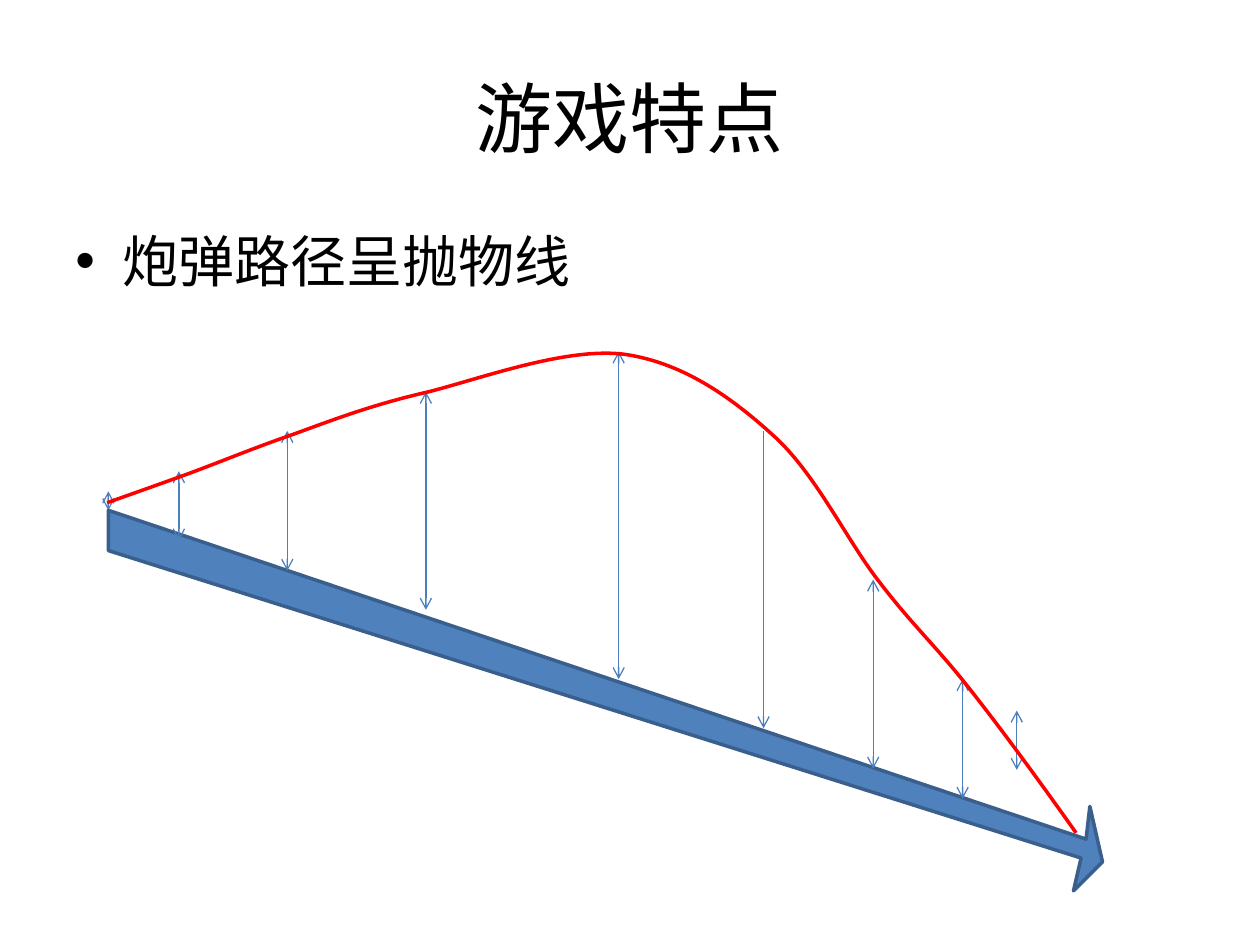
from dataclasses import dataclass

from lxml import etree
from pptx import Presentation
from pptx import util as u
from pptx.dml.color import RGBColor
from pptx.enum import shapes, text
from pptx.oxml import ns

Point = tuple[float, float]


@dataclass(frozen=True)
class Theme:
    font: str = "Calibri"
    ink: str = "000000"
    ground: str = "4F81BD"
    ground_edge: str = "3A5F8C"
    measure: str = "4B7EBC"
    flight: str = "FF0000"
    title_size: float = 44
    body_size: float = 32
    thin: float = 0.75
    thick: float = 2


@dataclass(frozen=True)
class Heading:
    words: str
    box: tuple[float, float, float, float]  # column, row, columns, rows
    size: float
    anchor: text.MSO_ANCHOR
    align: text.PP_ALIGN
    bullet: str = ""


@dataclass(frozen=True)
class Height:
    column: float
    top: float
    bottom: float
    double: bool = True


THEME = Theme()
COLUMNS, ROWS = 100, 75
SLIDE_WIDTH, SLIDE_HEIGHT = u.Inches(10), u.Inches(7.5)

HEADINGS = [
    Heading("游戏特点", (5, 3, 90, 12.5), THEME.title_size,
            text.MSO_ANCHOR.MIDDLE, text.PP_ALIGN.CENTER),
    Heading("炮弹路径呈抛物线", (5, 17.5, 90, 49.5), THEME.body_size,
            text.MSO_ANCHOR.TOP, text.PP_ALIGN.LEFT, "•"),
]

# Gap between ground and flight; the outer two lie behind the ground
OUTER_HEIGHTS = [Height(8.6, 39, 40.5), Height(80.7, 56.4, 61.1)]
INNER_HEIGHTS = [
    Height(14.2, 37.4, 42.9),
    Height(22.8, 34.2, 45.3),
    Height(33.8, 31.1, 48.4),
    Height(49.1, 27.9, 53.9),
    Height(60.6, 34.2, 57.8, double=False),
    Height(69.3, 46, 61),
    Height(76.4, 53.9, 63.4),
]

GROUND_ARROW = [(8.6, 40.5), (86.2, 66.6), (86.5, 64), (87.5, 68.4),
                (85.2, 70.7), (85.8, 68.1), (8.6, 43.7)]

# Start, then two control points and an end point for each curve
FLIGHT = [
    (8.5, 39.9),
    (10.2, 39.3), (11.9, 38.7), (14.4, 37.8),
    (16.9, 36.9), (20, 35.6), (23.2, 34.5),
    (26.5, 33.3), (29.6, 32.1), (34, 31.1),
    (38.3, 30), (44.8, 27.6), (49.4, 28.1),
    (54, 28.7), (57.9, 31.4), (61.3, 34.5),
    (64.7, 37.5), (67.2, 42.9), (69.8, 46.2),
    (72.4, 49.6), (74.3, 51.3), (76.9, 54.6),
    (79.5, 57.9), (82.5, 62), (85.4, 66.1),
]


def across(columns: float) -> u.Emu:
    return u.Emu(round(SLIDE_WIDTH * columns / COLUMNS))


def down(rows: float) -> u.Emu:
    return u.Emu(round(SLIDE_HEIGHT * rows / ROWS))


def set_line(line, color: str, width: float) -> None:
    line.color.rgb = RGBColor.from_string(color)
    line.width = u.Pt(width)


def add_heading(slide, heading: Heading) -> None:
    column, row, columns, rows = heading.box
    frame = slide.shapes.add_textbox(
        across(column), down(row), across(columns), down(rows)).text_frame
    frame.word_wrap = True
    frame.vertical_anchor = heading.anchor
    paragraph = frame.paragraphs[0]
    paragraph.alignment = heading.align
    if heading.bullet:
        paragraph.space_before = u.Pt(heading.size * 0.2)
        properties = paragraph._p.get_or_add_pPr()
        indent = across(3.75)
        properties.set("marL", str(indent))
        properties.set("indent", str(-indent))
        etree.SubElement(properties, ns.qn("a:buFont"), typeface="Arial")
        etree.SubElement(properties, ns.qn("a:buChar"), char=heading.bullet)
    run = paragraph.add_run()
    run.text = heading.words
    run.font.name = THEME.font
    run.font.size = u.Pt(heading.size)
    run.font.color.rgb = RGBColor.from_string(THEME.ink)


def add_height(parent, height: Height) -> None:
    arrow = parent.add_connector(
        shapes.MSO_CONNECTOR.STRAIGHT,
        across(height.column), down(height.top),
        across(height.column), down(height.bottom))
    set_line(arrow.line, THEME.measure, THEME.thin)
    outline = arrow.line._get_or_add_ln()
    for end in ("a:headEnd", "a:tailEnd") if height.double else ("a:tailEnd",):
        etree.SubElement(outline, ns.qn(end), type="arrow")
    etree.SubElement(arrow._element.spPr, ns.qn("a:effectLst"))


def add_outline(parent, points: list[Point], close: bool,
                color: str):
    start, *rest = [(across(x), down(y)) for x, y in points]
    builder = parent.build_freeform(*start)
    builder.add_line_segments(rest, close=close)
    outline = builder.convert_to_shape()
    outline.shadow.inherit = False
    set_line(outline.line, color, THEME.thick)
    return outline


def bend(outline) -> None:
    """Turn every three straight segments into one Bézier curve."""
    segments = list(outline._element.iter(ns.qn("a:lnTo")))
    for first in range(0, len(segments), 3):
        curve = etree.Element(ns.qn("a:cubicBezTo"))
        segments[first].addprevious(curve)
        for segment in segments[first:first + 3]:
            curve.append(segment[0])
            segment.getparent().remove(segment)


def main() -> None:
    deck = Presentation()
    deck.slide_width, deck.slide_height = SLIDE_WIDTH, SLIDE_HEIGHT
    slide = deck.slides.add_slide(deck.slide_layouts[6])

    # Title and bullet
    for heading in HEADINGS:
        add_heading(slide, heading)

    for height in OUTER_HEIGHTS:
        add_height(slide.shapes, height)

    # Trajectory: ground, heights above it, flight
    trajectory = slide.shapes.add_group_shape().shapes
    ground = add_outline(trajectory, GROUND_ARROW, True, THEME.ground_edge)
    ground.fill.solid()
    ground.fill.fore_color.rgb = RGBColor.from_string(THEME.ground)
    for height in INNER_HEIGHTS:
        add_height(trajectory, height)
    flight = add_outline(trajectory, FLIGHT, False, THEME.flight)
    flight.fill.background()
    bend(flight)

    deck.save("out.pptx")


if __name__ == "__main__":
    main()
